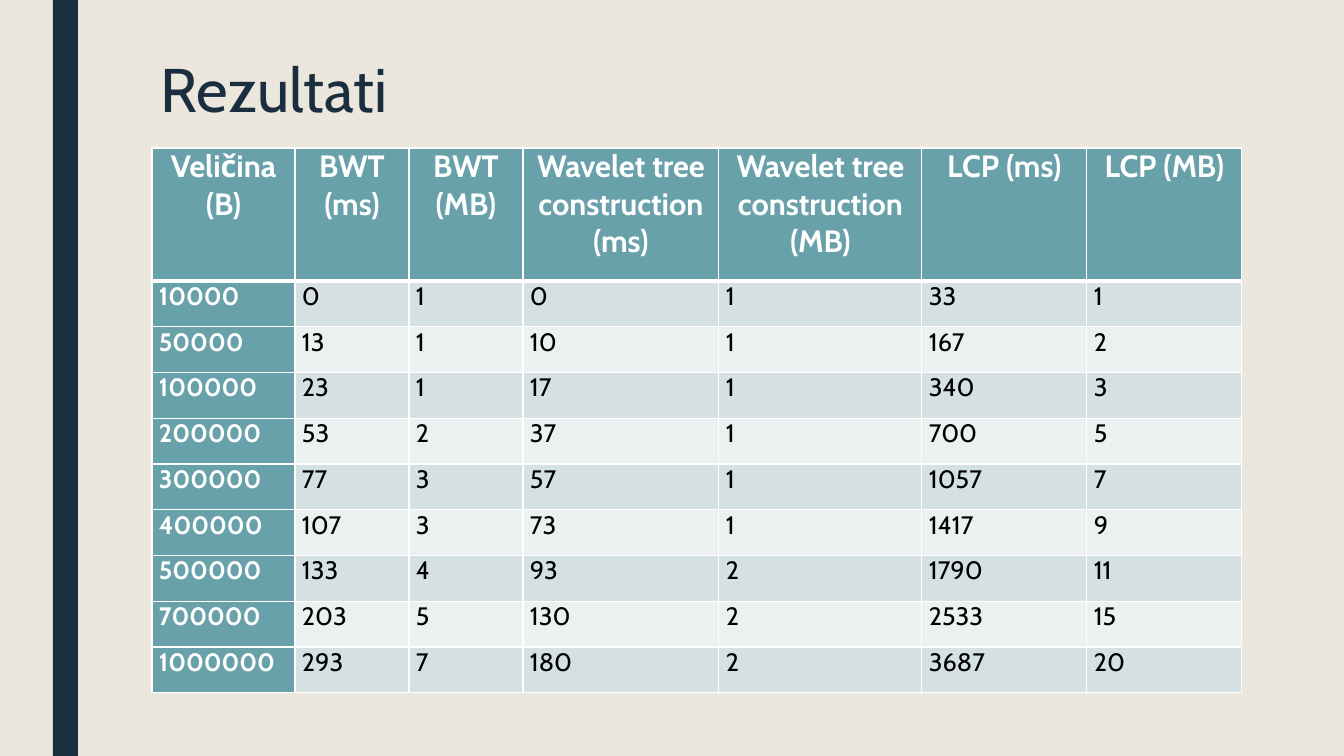
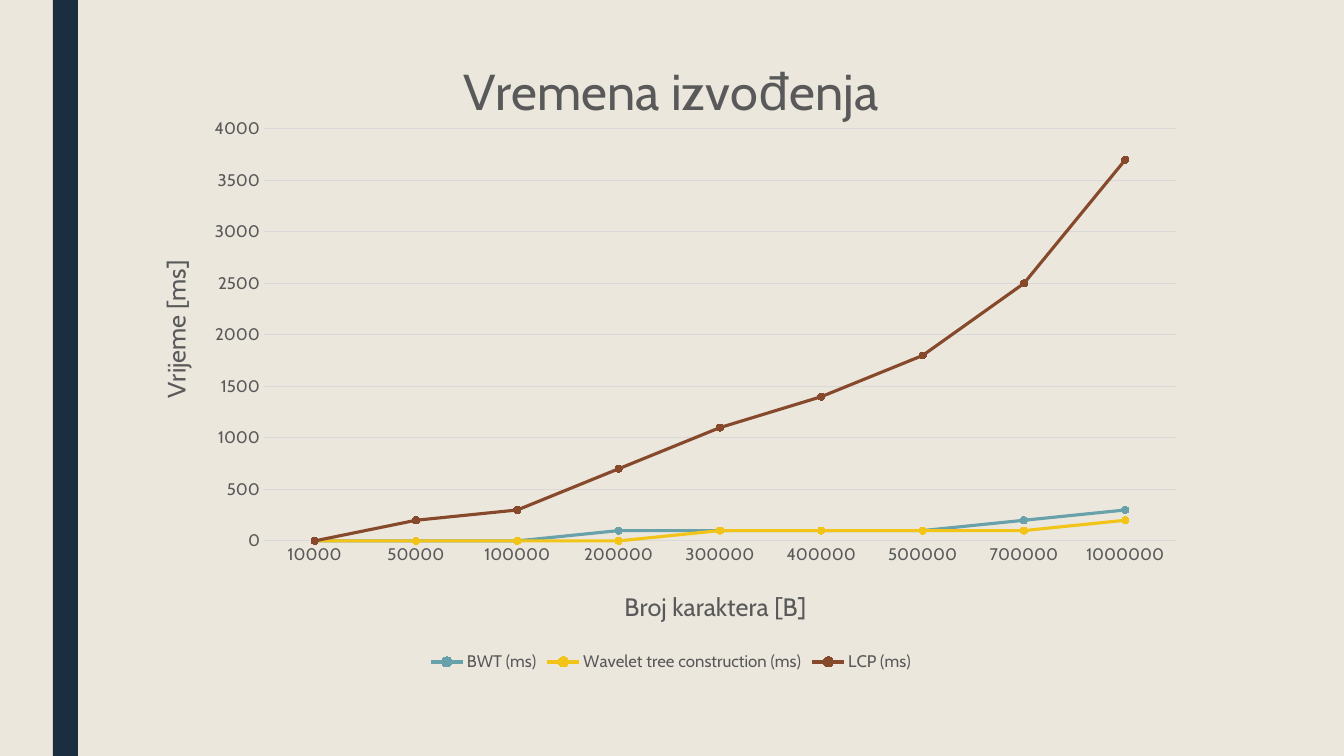
from dataclasses import dataclass
from lxml.etree import SubElement
from pptx import Presentation
from pptx.chart.data import CategoryChartData
from pptx.dml.color import RGBColor
from pptx.enum.chart import XL_CHART_TYPE, XL_LEGEND_POSITION, XL_MARKER_STYLE, XL_TICK_MARK
from pptx.enum.shapes import MSO_SHAPE
from pptx.enum.text import MSO_ANCHOR, PP_ALIGN
from pptx.oxml import parse_xml
from pptx.oxml.ns import nsdecls, qn
from pptx.util import Pt

HEADS = ["Veličina (B)", "BWT (ms)", "BWT (MB)", "Wavelet tree construction (ms)",
         "Wavelet tree construction (MB)", "LCP (ms)", "LCP (MB)"]
ROWS = [
    (10000, 0, 1, 0, 1, 33, 1),
    (50000, 13, 1, 10, 1, 167, 2),
    (100000, 23, 1, 17, 1, 340, 3),
    (200000, 53, 2, 37, 1, 700, 5),
    (300000, 77, 3, 57, 1, 1057, 7),
    (400000, 107, 3, 73, 1, 1417, 9),
    (500000, 133, 4, 93, 2, 1790, 11),
    (700000, 203, 5, 130, 2, 2533, 15),
    (1000000, 293, 7, 180, 2, 3687, 20),
]
TITLE = "Rezultati"
CHART = {"title": "Vremena izvođenja", "x": "Broj karaktera [B]", "y": "Vrijeme [ms]"}
TIMES = [1, 3, 5]

WIDE, HIGH = 1344, 756
BAND = (53, 0, 25, HIGH)
HEAD_BOX = (151, 53, 1058, 79)
GRID_AT = (152, 148)
COLS = [143, 114, 114, 196, 203, 165, 155]
HEAD_H, BODY_H = 133, 412
CHART_BOX = (142, 39, 1058, 637)
SPOTS = {"title": (454, 47), "x": (620, 585), "y": (154, 256)}
PLOT = (264, 129, 912, 412)


@dataclass(frozen=True)
class Theme:
    font: str = "Cabin"
    back: str = "EBE7DD"
    navy: str = "1A2E40"
    teal: str = "69A1AB"
    gold: str = "F2C418"
    rust: str = "87492C"
    dark: str = "D4E0E2"
    light: str = "EBF0F1"
    white: str = "FFFFFF"
    black: str = "000000"
    gray: str = "595959"
    rule: str = "D9D9D9"
    title: int = 44
    head: int = 22
    body: int = 18
    chart: int = 36
    label: int = 12


T = Theme()


def px(n):
    return round(n * 12192000 / WIDE)


def rgb(tone):
    return RGBColor.from_string(tone)


def paint(fill, tone):
    fill.solid()
    fill.fore_color.rgb = rgb(tone)


def style(font, size, tone, bold=False):
    font.name, font.size, font.bold = T.font, Pt(size), bold
    font.color.rgb = rgb(tone)


def write(frame, text, size, tone, bold=False):
    para = frame.paragraphs[0]
    run = para.add_run()
    run.text = text
    style(run.font, size, tone, bold)
    return para


def start(deck):
    slide = deck.slides.add_slide(deck.slide_layouts[6])
    band = slide.shapes.add_shape(MSO_SHAPE.RECTANGLE, *map(px, BAND))
    band.shadow.inherit = False
    paint(band.fill, T.navy)
    band.line.fill.background()
    return slide


def edge(cell, widths):
    props = cell._tc.get_or_add_tcPr()
    for i, (side, width) in enumerate(zip("LRTB", widths)):
        props.insert(i, parse_xml(
            f'<a:ln{side} {nsdecls("a")} w="{Pt(width)}"><a:solidFill>'
            f'<a:srgbClr val="{T.white}"/></a:solidFill></a:ln{side}>'))


def fill_cell(cell, row, col, text):
    top, side = row == 0, col == 0
    key = top or side
    paint(cell.fill, T.teal if key else T.dark if row % 2 else T.light)
    edge(cell, (1, 1, 1, 3 if top else 1))
    cell.margin_left = cell.margin_right = px(7)
    cell.margin_top = cell.margin_bottom = 0
    para = write(cell.text_frame, str(text), T.head if top else T.body,
                 T.white if key else T.black, key)
    para.alignment = PP_ALIGN.CENTER if top else PP_ALIGN.LEFT
    para.space_before = para.space_after = Pt(6)


def add_grid(slide):
    data = [HEADS, *ROWS]
    box = (*GRID_AT, sum(COLS), HEAD_H + BODY_H)
    grid = slide.shapes.add_table(len(data), len(COLS), *map(px, box)).table
    for col, width in zip(grid.columns, COLS):
        col.width = px(width)
    for r, row in enumerate(data):
        grid.rows[r].height = px(BODY_H / len(ROWS) if r else HEAD_H)
        for c, text in enumerate(row):
            fill_cell(grid.cell(r, c), r, c, text)


def place(node, index, spot, size=()):
    old = node.find(qn("c:layout"))
    if old is not None:
        node.remove(old)
    layout = parse_xml(f'<c:layout {nsdecls("c")}><c:manualLayout/></c:layout>')
    left, top, wide, high = CHART_BOX
    parts = [("xMode", "edge"), ("yMode", "edge"),
             ("x", (spot[0] - left) / wide), ("y", (spot[1] - top) / high)]
    if size:
        parts.insert(0, ("layoutTarget", "inner"))
        parts += [("w", size[0] / wide), ("h", size[1] / high)]
    for tag, val in parts:
        SubElement(layout[0], qn("c:" + tag)).set("val", str(val))
    node.insert(index, layout)


def name(title, key, size):
    write(title.text_frame, CHART[key], size, T.gray)
    place(title._element, 1, SPOTS[key])


def rule(line):
    line.color.rgb = rgb(T.rule)
    line.width = Pt(0.75)


def add_plot(slide):
    data = CategoryChartData()
    data.categories = [str(row[0]) for row in ROWS]
    for col in TIMES:
        data.add_series(HEADS[col], [round(row[col], -2) for row in ROWS])
    chart = slide.shapes.add_chart(XL_CHART_TYPE.LINE_MARKERS, *map(px, CHART_BOX), data).chart
    style(chart.font, T.label, T.gray)
    chart.has_title = True
    name(chart.chart_title, "title", T.chart)
    chart.has_legend = True
    chart.legend.position = XL_LEGEND_POSITION.BOTTOM
    chart.legend.include_in_layout = False
    style(chart.legend.font, T.label, T.gray)
    for key, axis in (("x", chart.category_axis), ("y", chart.value_axis)):
        axis.major_tick_mark = axis.minor_tick_mark = XL_TICK_MARK.NONE
        style(axis.tick_labels.font, T.label, T.gray)
        name(axis.axis_title, key, T.body)
    rule(chart.category_axis.format.line)
    axis = chart.value_axis
    axis.axis_title.text_frame._txBody.bodyPr.set("rot", "-5400000")
    axis.minimum_scale, axis.maximum_scale, axis.major_unit = 0, 4000, 500
    axis.format.line.fill.background()
    rule(axis.major_gridlines.format.line)
    place(chart._chartSpace.chart.plotArea, 0, PLOT[:2], PLOT[2:])
    plot = chart.plots[0]
    plot.vary_by_categories = False
    for line, tone in zip(plot.series, (T.teal, T.gold, T.rust)):
        line.smooth = False
        line.format.line.color.rgb = rgb(tone)
        line.format.line.width = Pt(2.25)
        mark = line.marker
        mark.style, mark.size = XL_MARKER_STYLE.CIRCLE, 5
        paint(mark.format.fill, tone)
        mark.format.line.color.rgb = rgb(tone)


def main():
    deck = Presentation()
    deck.slide_width, deck.slide_height = px(WIDE), px(HIGH)
    paint(deck.slide_master.background.fill, T.back)
    slide = start(deck)
    frame = slide.shapes.add_textbox(*map(px, HEAD_BOX)).text_frame
    frame.word_wrap = True
    frame.vertical_anchor = MSO_ANCHOR.MIDDLE
    write(frame, TITLE, T.title, T.navy).line_spacing = 0.89
    add_grid(slide)
    add_plot(start(deck))
    deck.save("out.pptx")


if __name__ == "__main__":
    main()
